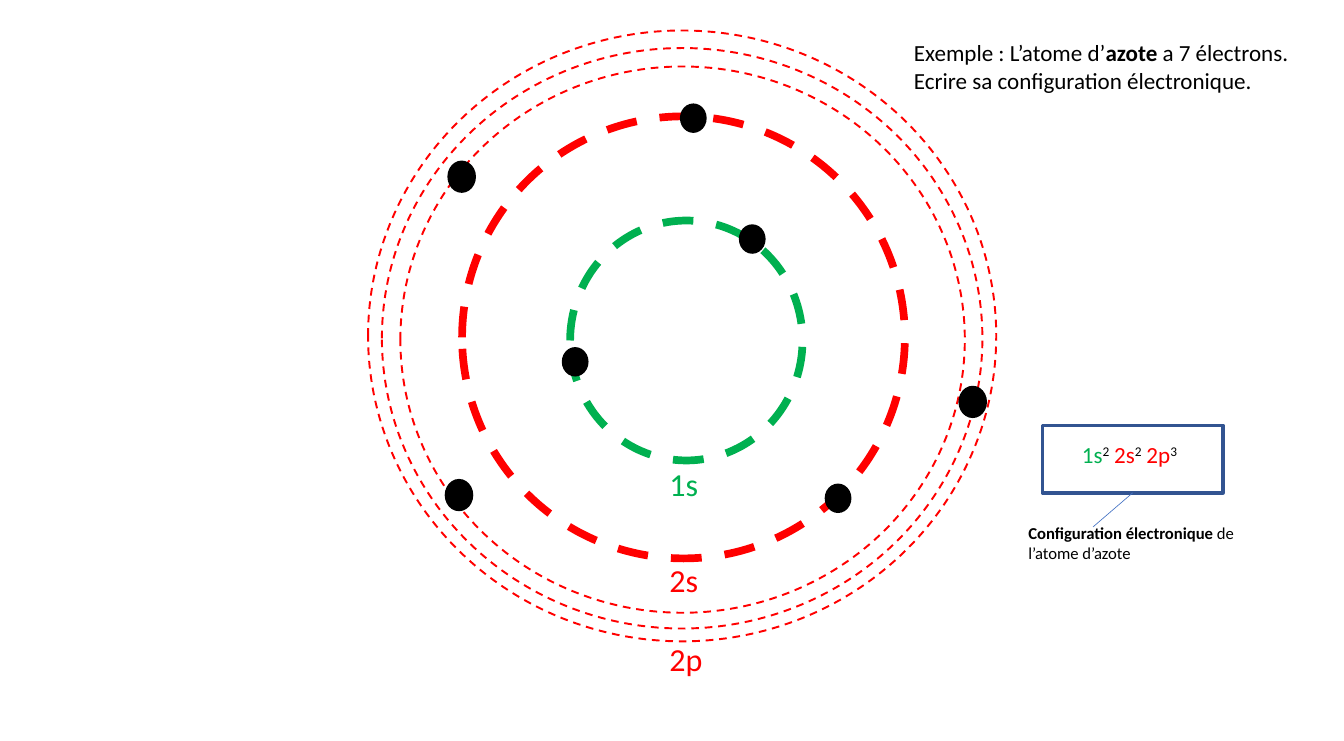
from dataclasses import dataclass

from lxml import etree
from pptx import Presentation
from pptx.dml.color import RGBColor
from pptx.enum.dml import MSO_LINE
from pptx.enum.shapes import MSO_CONNECTOR, MSO_SHAPE
from pptx.oxml.ns import qn
from pptx.util import Pt

OVAL = MSO_SHAPE.OVAL
RECTANGLE = MSO_SHAPE.RECTANGLE
STRAIGHT = MSO_CONNECTOR.STRAIGHT
DASH = MSO_LINE.DASH
BLANK_LAYOUT = 6


@dataclass(frozen=True)
class Theme:
    font: str = "Calibri"
    black: RGBColor = RGBColor(0, 0, 0)
    green: RGBColor = RGBColor(0, 0xB0, 0x50)
    red: RGBColor = RGBColor(0xFF, 0, 0)
    frame: RGBColor = RGBColor(0x32, 0x54, 0x91)
    pointer: RGBColor = RGBColor(0x44, 0x72, 0xC4)
    label: float = 25
    body: float = 18
    caption: float = 13
    thin: float = 1.5
    thick: float = 6


THEME = Theme()

SUBSHELLS = [
    ("2p", THEME.red, THEME.thin, 471.6,
     [(25.2, 28.1, 440.6, 426.2), (0, 0, 490.3, 476.6), (10.8, 13.7, 468.7, 452.9)],
     (22.3, 25.2), [(61.9, 101.5), (59.8, 349.9), (460.8, 277.2)]),
    ("1s", THEME.green, THEME.thick, 334.8,
     [(157.7, 148.3, 181.4, 187.2)],
     (20.9, 23), [(289.4, 151.2), (151.2, 247)]),
    ("2s", THEME.red, THEME.thick, 409.7,
     [(73.4, 67, 345.6, 344.9)],
     (20.9, 23), [(243.4, 56.9), (356.4, 353.5)]),
]

CONFIGURATION = [
    ("1s", "2", THEME.green),
    ("2s", "2", THEME.red),
    ("2p", "3", THEME.red),
]


def add_outline(s, kind, x, y, w, h, color, width):
    sp = s.shapes.add_shape(kind, Pt(x), Pt(y), Pt(w), Pt(h))
    sp.shadow.inherit = False
    sp.fill.background()
    sp.line.color.rgb = color
    sp.line.width = Pt(width)
    return sp


def add_electron(s, x, y, w, h):
    sp = s.shapes.add_shape(OVAL, Pt(x), Pt(y), Pt(w), Pt(h))
    sp.shadow.inherit = False
    sp.fill.solid()
    sp.fill.fore_color.rgb = THEME.black
    sp.line.fill.background()


def add_text(s, x, y, w, h, size, color, lines):
    tf = s.shapes.add_textbox(Pt(x), Pt(y), Pt(w), Pt(h)).text_frame
    tf.word_wrap = True
    for i, line in enumerate(lines):
        p = tf.paragraphs[0] if i == 0 else tf.add_paragraph()
        p.font.name = THEME.font
        p.font.size = Pt(size)
        p.font.color.rgb = color
        for text, bold in line:
            r = p.add_run()
            r.text = text
            if bold:
                r.font.bold = True
    return tf


def add_atom(s, x, y):
    for name, color, width, label_y, rings, size, electrons in SUBSHELLS:
        for dx, dy, w, h in rings:
            ring = add_outline(s, OVAL, x + dx, y + dy, w, h, color, width)
            ring.line.dash_style = DASH
        for dx, dy in electrons:
            add_electron(s, x + dx, y + dy, *size)
        add_text(s, x + 228.2, y + label_y, 41, 37.4, THEME.label, color,
                 [[(name, False)]])


def add_question(s, x, y, w, h):
    add_text(s, x, y, w, h, THEME.body, THEME.black, [
        [("Exemple : L’atome d’", False), ("azote", True), (" a 7 électrons.", False)],
        [("Ecrire sa configuration électronique.", False)],
    ])


def add_configuration(s, x, y, w):
    frame = add_outline(s, RECTANGLE, x + 18, y, 141.1, 52.6, THEME.frame, 2.75)
    for i, (name, count, color) in enumerate(CONFIGURATION):
        tf = add_text(s, x + 41.8 + 25.2 * i, y + 7.9, 44, 28.8, THEME.body, color,
                      [[(name, False), (count, False)]])
        r = tf.paragraphs[0].runs[1]
        r.font.color.rgb = THEME.black
        r.font._element.set("baseline", "30000")
    pointer = s.shapes.add_connector(STRAIGHT, Pt(x + 88.6), Pt(y + 52.6),
                                     Pt(x + 57.6), Pt(y + 79.2))
    pointer.begin_connect(frame, 2)
    pointer.line.color.rgb = THEME.pointer
    pointer.line.width = Pt(0.5)
    etree.SubElement(pointer._element.spPr, qn("a:effectLst"))
    add_text(s, x, y + 72.7, w, 38.9, THEME.caption, THEME.black,
             [[("Configuration électronique ", True), ("de l’atome d’azote", False)]])


def main():
    prs = Presentation()
    prs.slide_width = Pt(1049.04)
    prs.slide_height = Pt(578.16)
    s = prs.slides.add_slide(prs.slide_layouts[BLANK_LAYOUT])
    add_atom(s, 287.3, 23.8)
    add_question(s, 706.3, 26.6, 313.2, 51.1)
    add_configuration(s, 795.6, 331.9, 190.1)
    prs.save("out.pptx")


if __name__ == "__main__":
    main()
